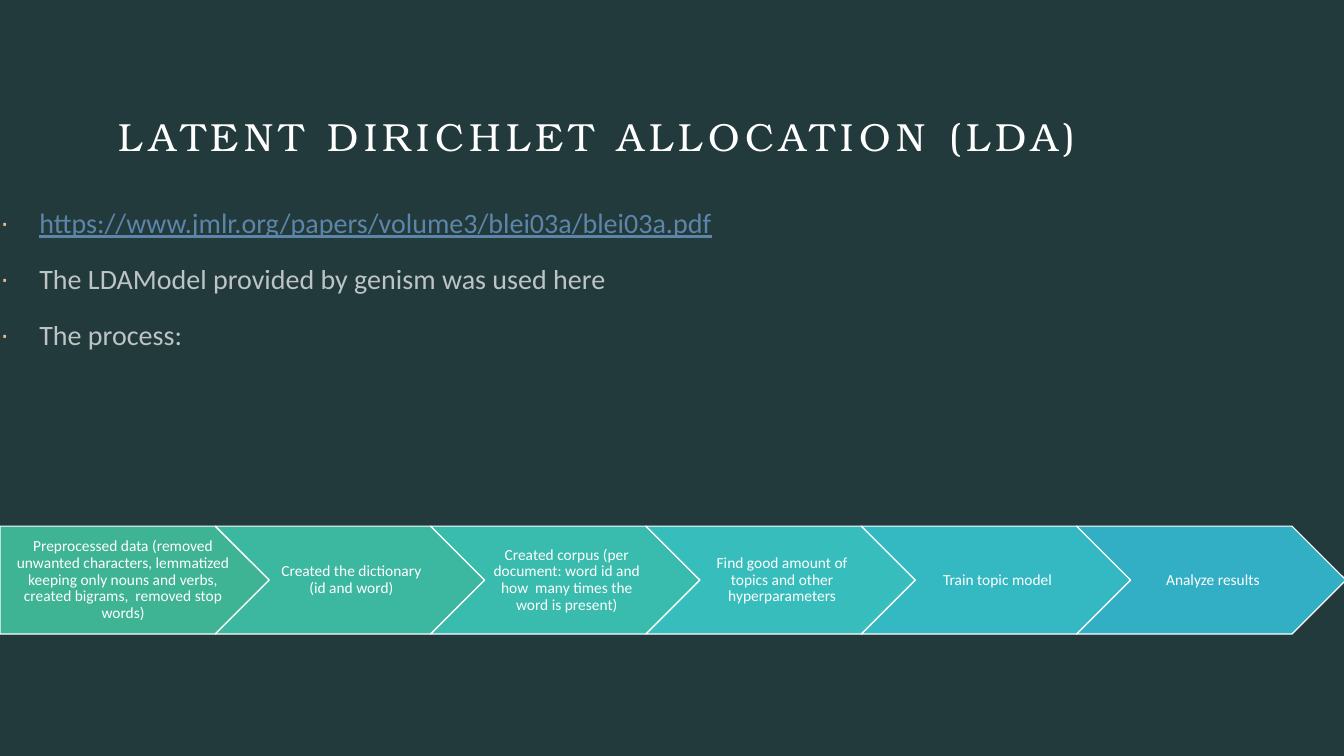
from dataclasses import dataclass

from lxml.etree import SubElement
from pptx import Presentation
from pptx.dml.color import RGBColor
from pptx.enum.shapes import MSO_SHAPE as Shape
from pptx.enum.text import MSO_ANCHOR as Anchor, MSO_AUTO_SIZE as AutoSize, PP_ALIGN as Align
from pptx.oxml.ns import qn
from pptx.util import Inches, Pt

COLORS = {
    "background": "233A3D",
    "text": "FFFFFF",
    "link": "5C85A7",
    "bullet": "EFBB8F",
}
BODY_FONT = "Calibri"
STEP_WIDTH, STEP_HEIGHT, STEP_TOP = 2.67, 1.07, 5.22
STEP_PITCH = 0.8 * STEP_WIDTH


@dataclass
class Step:
    text: str
    fill: str
    left_inset: float = 0.05
    kind: Shape = Shape.CHEVRON


@dataclass
class Bullet:
    text: str
    is_link: bool = False


STEPS = [
    Step("Preprocessed data (removed unwanted characters, lemmatized keeping only nouns "
         "and verbs, created bigrams,  removed stop words)", "3EB494", 0.06, Shape.PENTAGON),
    Step("Created the dictionary (id and word)", "3CB7A0"),
    Step("Created corpus (per document: word id and how  many times the word is present)",
         "39BBAD"),
    Step("Find good amount of topics and other hyperparameters", "37BEBC"),
    Step("Train topic model", "34B8C2"),
    Step("Analyze results", "32AFC5"),
]
BULLETS = [
    Bullet("https://www.jmlr.org/papers/volume3/blei03a/blei03a.pdf", is_link=True),
    Bullet("The LDAModel provided by genism was used here"),
    Bullet("The process:"),
]


def rgb(value: str) -> RGBColor:
    return RGBColor.from_string(value)


def set_frame(frame, insets: tuple, anchor: Anchor) -> None:
    frame.word_wrap = True
    frame.auto_size = AutoSize.NONE
    frame.vertical_anchor = anchor
    (frame.margin_left, frame.margin_top,
     frame.margin_right, frame.margin_bottom) = map(Inches, insets)


def set_font(font, name: str, size: float, color: str) -> None:
    font.name, font.size = name, Pt(size)
    font.color.rgb = rgb(color)


def place(shape, left: float, top: float, width: float, height: float) -> None:
    shape.left, shape.top = Inches(left), Inches(top)
    shape.width, shape.height = Inches(width), Inches(height)


def add_bullet(paragraph, bullet: Bullet) -> None:
    run = paragraph.add_run()
    run.text = bullet.text
    set_font(run.font, BODY_FONT, 20, COLORS["link" if bullet.is_link else "text"])
    if bullet.is_link:
        run.font.underline = True
    else:
        # 70 % opaque text
        color = run.font.fill._xPr.find(f".//{qn('a:srgbClr')}")
        SubElement(color, qn("a:alpha"), val="70000")
    paragraph.line_spacing = 1.25
    paragraph.space_before = Pt(10)
    properties = paragraph._p.get_or_add_pPr()
    properties.set("marL", str(Inches(0.39)))
    properties.set("indent", str(-Inches(0.39)))
    bullet_color = SubElement(properties, qn("a:buClr"))
    SubElement(bullet_color, qn("a:srgbClr"), val=COLORS["bullet"])
    SubElement(properties, qn("a:buChar"), char="·")


def add_step(group, index: int, step: Step) -> None:
    shape = group.shapes.add_shape(
        step.kind, Inches(index * STEP_PITCH), Inches(STEP_TOP),
        Inches(STEP_WIDTH), Inches(STEP_HEIGHT))
    shape.shadow.inherit = False
    shape.fill.solid()
    shape.fill.fore_color.rgb = rgb(step.fill)
    shape.line.color.rgb = rgb(COLORS["text"])
    shape.line.width = Pt(0.85)
    set_frame(shape.text_frame, (step.left_inset, 0.03, 0.02, 0.03), Anchor.MIDDLE)
    paragraph = shape.text_frame.paragraphs[0]
    paragraph.text = step.text
    paragraph.alignment = Align.CENTER
    paragraph.line_spacing = 0.9
    set_font(paragraph.font, BODY_FONT, 11, COLORS["text"])


def main() -> None:
    presentation = Presentation()
    presentation.slide_width, presentation.slide_height = Inches(13.33), Inches(7.5)
    slide = presentation.slides.add_slide(presentation.slide_layouts[1])
    slide.background.fill.solid()
    slide.background.fill.fore_color.rgb = rgb(COLORS["background"])

    # Title
    title = slide.shapes.title
    place(title, 1.18, 1.11, 10.97, 0.72)
    set_frame(title.text_frame, (0, 0, 0, 0), Anchor.TOP)
    paragraph = title.text_frame.paragraphs[0]
    paragraph.alignment = Align.LEFT
    run = paragraph.add_run()
    run.text = "LATENT DIRICHLET ALLOCATION (LDA)"
    set_font(run.font, "TeX Gyre Bonum", 28, COLORS["text"])
    run._r.get_or_add_rPr().set("spc", "400")

    # Bullet list
    body = slide.placeholders[1]
    place(body, 0, 1.96, 13.33, 4.35)
    frame = body.text_frame
    set_frame(frame, (0, 0, 0, 0), Anchor.TOP)
    for index, bullet in enumerate(BULLETS):
        add_bullet(frame.add_paragraph() if index else frame.paragraphs[0], bullet)

    # Process arrows
    process = slide.shapes.add_group_shape()
    for index, step in enumerate(STEPS):
        add_step(process, index, step)

    presentation.save("out.pptx")


if __name__ == "__main__":
    main()
